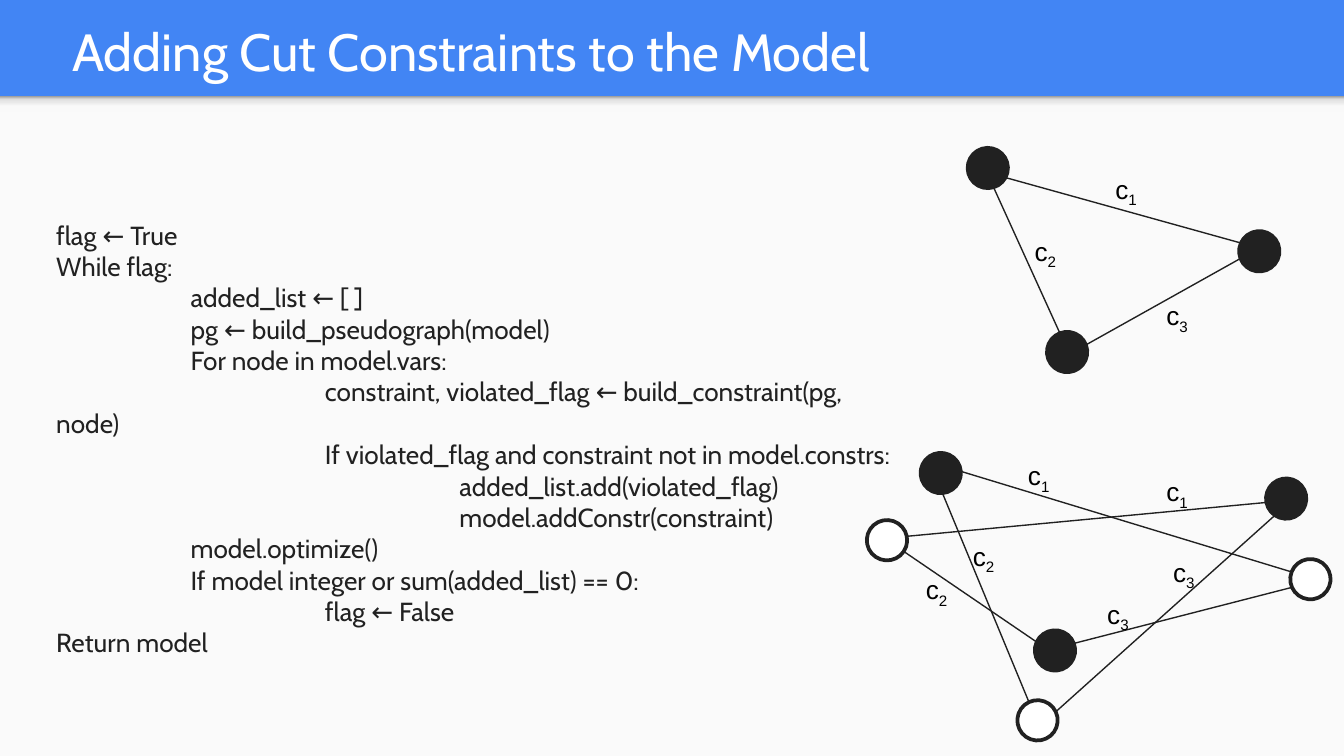
"""Build a slide with cut-constraint pseudocode beside two edge graphs."""
from math import cos, radians, sin

from lxml import etree
from pptx import Presentation
from pptx.dml.color import RGBColor
from pptx.enum.shapes import MSO_CONNECTOR, MSO_SHAPE
from pptx.enum.text import MSO_ANCHOR, MSO_AUTO_SIZE
from pptx.oxml.ns import qn
from pptx.util import Inches, Pt

RECT, OVAL = MSO_SHAPE.RECTANGLE, MSO_SHAPE.OVAL
STRAIGHT = MSO_CONNECTOR.STRAIGHT
BOTTOM, TOP = MSO_ANCHOR.BOTTOM, MSO_ANCHOR.TOP
FIT_SHAPE, FIT_NONE = MSO_AUTO_SIZE.SHAPE_TO_FIT_TEXT, MSO_AUTO_SIZE.NONE

WIDTH = 10
HEIGHT = WIDTH * 9 / 16
BODY_HEIGHT = 4.91
HEADER = HEIGHT - BODY_HEIGHT
COLOURS = {"header": "4285F4", "body": "FAFAFA", "title": "FFFFFF",
           "ink": "212121", "hollow": "FFFFFF", "label": "000000"}
SHADOW_STOPS = [(0, "999999"), (20, "DEDEDE"), (64, "F9F9F9"), (100, "F9F9F9")]

TITLE = "Adding Cut Constraints to the Model"
TAB_WIDTH = 1
PSEUDOCODE = [
    (0, "flag ← True"),
    (0, "While flag:"),
    (1, "added_list ← [ ]"),
    (1, "pg ← build_pseudograph(model)"),
    (1, "For node in model.vars:"),
    (2, "constraint, violated_flag ← build_constraint(pg, node)"),
    (2, "If violated_flag and constraint not in model.constrs:"),
    (3, "added_list.add(violated_flag)"),
    (3, "model.addConstr(constraint)"),
    (1, "model.optimize()"),
    (1, "If model integer or sum(added_list) == 0:"),
    (2, "flag ← False"),
    (0, "Return model"),
]

NODE_SIZE = 0.3
NODES = {
    "top_left": (7.35, 1.25, -16.5, "ink"),
    "top_right": (9.37, 1.87, 24.2, "ink"),
    "top_low": (7.94, 2.62, 24.1, "ink"),
    "left": (7.0, 3.52, -4.8, "ink"),
    "left_twin": (6.6, 4.02, -11.2, "hollow"),
    "right": (9.57, 3.71, -11.1, "ink"),
    "right_twin": (9.75, 4.31, 21.2, "hollow"),
    "low": (7.85, 4.84, -20.4, "ink"),
    "low_twin": (7.72, 5.36, 19.8, "hollow"),
}
EDGES = [
    ("top_low", 1, "top_left", 4),
    ("top_right", 2, "top_left", 5),
    ("right_twin", 2, "left", 6),
    ("right", 2, "left_twin", 6),
    ("low", 1, "left_twin", 5),
    ("low_twin", 1, "left", 4),
    ("top_right", 3, "top_low", 7),
    ("right_twin", 3, "low", 6),
    ("low_twin", 7, "right", 3),
]
COSTS = {
    "1": [(8.2, 1.24), (8.58, 3.49), (7.55, 3.37)],
    "2": [(7.6, 1.7), (7.14, 3.97), (6.79, 4.22)],
    "3": [(8.58, 2.18), (8.14, 4.4), (8.63, 4.09)],
}


def rgb(name):
    return RGBColor.from_string(COLOURS[name])


def add_block(kind, left, top, width, height):
    block = slide.shapes.add_shape(kind, *map(Inches, (left, top, width, height)))
    block.shadow.inherit = False
    block.line.fill.background()
    return block


def add_text(box, lines, font, size, colour, wrap=True, anchor=TOP, fit=FIT_SHAPE):
    """Write lines of (text, is_subscript) runs into a new text box."""
    frame = slide.shapes.add_textbox(*map(Inches, box)).text_frame
    frame.word_wrap, frame.vertical_anchor, frame.auto_size = wrap, anchor, fit
    for number, runs in enumerate(lines):
        paragraph = frame.add_paragraph() if number else frame.paragraphs[0]
        for text, subscript in runs:
            run = paragraph.add_run()
            run.text = text
            run.font.name, run.font.size = font, Pt(size)
            run.font.color.rgb = rgb(colour)
            if subscript:
                run.font._element.set("baseline", "-25000")
    return frame


def site(name, index):
    """Return the point at one of a node's eight counter-clockwise sites."""
    x, y, turn, _ = NODES[name]
    angle = radians(turn - 90 - 45 * index)
    reach = NODE_SIZE / 2
    return Inches(x + reach * cos(angle)), Inches(y + reach * sin(angle))


deck = Presentation()
deck.slide_width, deck.slide_height = Inches(WIDTH), Inches(HEIGHT)
slide = deck.slides.add_slide(deck.slide_layouts[6])
slide.background.fill.solid()
slide.background.fill.fore_color.rgb = rgb("header")

body = add_block(RECT, 0, HEADER, WIDTH, BODY_HEIGHT)
body.fill.solid()
body.fill.fore_color.rgb = rgb("body")

header_shadow = add_block(RECT, 0, HEADER, WIDTH, 0.12)
header_shadow.fill.gradient()
header_shadow.fill.gradient_angle = 270
stops = header_shadow._element.spPr.find(".//" + qn("a:gsLst"))
for stop in list(stops):
    stops.remove(stop)
for share, colour in SHADOW_STOPS:
    stop = etree.SubElement(stops, qn("a:gs"), pos=str(share * 1000))
    etree.SubElement(stop, qn("a:srgbClr"), val=colour)

heading = add_text((0.44, 0, 8.82, 0.71), [[(TITLE, False)]], "Cabin", 28,
                   "title", anchor=BOTTOM, fit=FIT_NONE)
heading.margin_top = heading.margin_bottom = Inches(0.1)

code = add_text((0.32, 1.58, 6.56, 3.16),
                [[("\t" * level + step, False)] for level, step in PSEUDOCODE],
                "Cabin", 14, "ink")
for paragraph, (level, _) in zip(code.paragraphs, PSEUDOCODE):
    if level:
        tabs = etree.SubElement(paragraph._p.get_or_add_pPr(), qn("a:tabLst"))
        for stop in range(1, level + 1):
            etree.SubElement(tabs, qn("a:tab"), pos=str(Inches(stop * TAB_WIDTH)),
                             algn="l")

for x, y, turn, colour in NODES.values():
    node = add_block(OVAL, x - NODE_SIZE / 2, y - NODE_SIZE / 2, NODE_SIZE, NODE_SIZE)
    node.rotation = turn
    node.fill.solid()
    node.fill.fore_color.rgb = rgb(colour)
    node.line.color.rgb, node.line.width = rgb("ink"), Pt(2)

for start, start_site, end, end_site in EDGES:
    edge = slide.shapes.add_connector(
        STRAIGHT, *site(start, start_site), *site(end, end_site))
    edge.line.color.rgb, edge.line.width = rgb("ink"), Pt(0.75)
    etree.SubElement(edge._element.spPr, qn("a:effectLst"))

for cost, places in COSTS.items():
    for left, top in places:
        add_text((left, top, 0.37, 0.34), [[("c", False), (cost, True)]],
                 "Arial", 14, "label", wrap=False)

deck.save("out.pptx")
